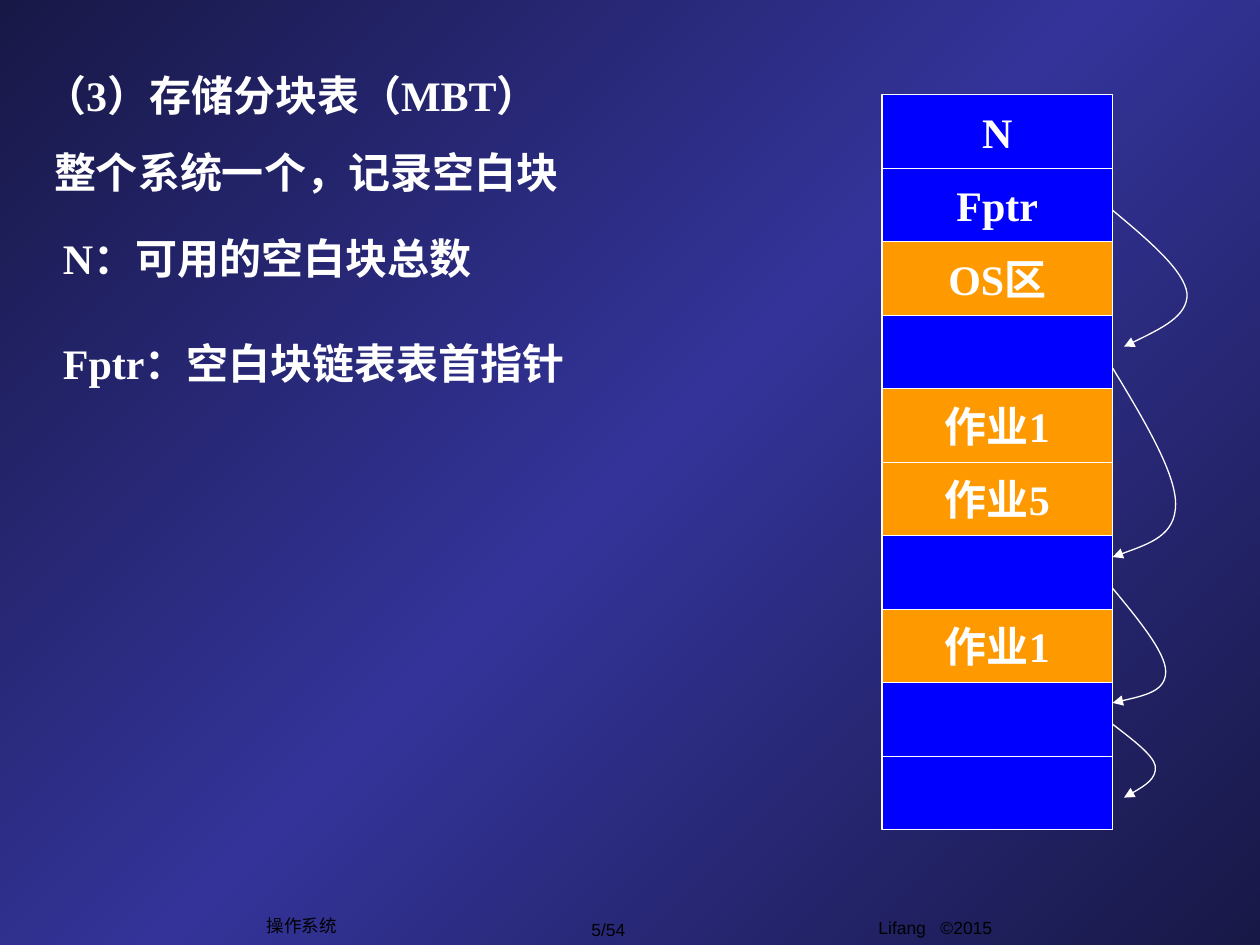
from copy import deepcopy
from typing import NamedTuple

from lxml.etree import SubElement as Sub
from pptx import Presentation
from pptx.dml.color import RGBColor as Rgb
from pptx.enum.shapes import MSO_SHAPE as Kind
from pptx.enum.text import MSO_ANCHOR as Anchor, MSO_AUTO_SIZE as Fit, PP_ALIGN as Align
from pptx.oxml.ns import qn
from pptx.util import Cm, Pt

WHITE, BLACK, BLUE, GOLD = "FFFFFF", "000000", "0000FF", "FF9900"
NIGHT, DUSK = "181847", "333399"
SERIF, SANS = "Times New Roman", "Arial"
LEFT, TOP, WIDTH, HEIGHT = 17.78, 1.91, 4.65, 14.82


class Note(NamedTuple):
    text: str
    left: float
    top: float
    width: float
    height: float = 1.27
    anchor: Anchor = Anchor.TOP
    wrap: bool = True


class Block(NamedTuple):
    text: str
    fill: str


class Link(NamedTuple):
    start: tuple
    curves: tuple


HEADS = [
    Note("（3）存储分块表（MBT）", 0.64, 1.27, 21.59, anchor=Anchor.MIDDLE),
    Note("整个系统一个，记录空白块", 0.84, 2.82, 16.05),
    Note("N：可用的空白块总数", 1.02, 4.57, 9.25),
    Note("Fptr：空白块链表表首指针", 1.02, 6.68, 11.23),
]
FEET = [
    Note("操作系统", 5.13, 18.31, 1.91, 0.69, Anchor.MIDDLE, False),
    Note("5/54", 10.97, 18.39, 2.59, 0.69, Anchor.MIDDLE, False),
    Note("Lifang   ©2015", 14.83, 18.36, 8.05, 0.89),
]
BLOCKS = [
    Block("N", BLUE), Block("Fptr", BLUE), Block("OS区", GOLD), Block("", BLUE),
    Block("作业1", GOLD), Block("作业5", GOLD), Block("", BLUE),
    Block("作业1", GOLD), Block("", BLUE), Block("", BLUE),
]
EDGE = LEFT + WIDTH
LINKS = [
    Link((EDGE, 4.24), ((23.16, 4.85), (23.88, 5.46), (23.93, 5.92),
                        (23.95, 6.38), (23.29, 6.68), (22.66, 6.99))),
    Link((EDGE, 7.42), ((23.06, 8.46), (23.7, 9.53), (23.7, 10.16),
                        (23.7, 10.8), (23.06, 11), (EDGE, 11.23))),
    Link((EDGE, 11.86), ((22.96, 12.5), (23.5, 13.16), (23.5, 13.54),
                         (23.5, 13.94), (22.96, 14.05), (EDGE, 14.17))),
    Link((EDGE, 14.6), ((22.83, 14.91), (23.24, 15.21), (23.29, 15.44),
                        (23.32, 15.7), (22.99, 15.9), (22.66, 16.08))),
]


def tint(color, code: str) -> None:
    color.rgb = Rgb.from_string(code)


def style(frame, text: str, size: int, face: str, code: str, bold: bool, align) -> None:
    frame.text = text
    para = frame.paragraphs[0]
    para.alignment = align
    for run in para.runs:
        run.font.size, run.font.name, run.font.bold = Pt(size), face, bold
        tint(run.font.color, code)


def trim(shape) -> None:
    shape.shadow.inherit = False
    shape.line.width = Pt(0.75)
    tint(shape.line.color, WHITE)


def write(slide, note: Note, size: int, face: str, code: str, bold: bool, align) -> None:
    box = slide.shapes.add_textbox(
        Cm(note.left), Cm(note.top), Cm(note.width), Cm(note.height))
    frame = box.text_frame
    frame.word_wrap, frame.auto_size = note.wrap, Fit.NONE
    frame.vertical_anchor = note.anchor
    style(frame, note.text, size, face, code, bold, align)


def stack(slide, row: int, block: Block) -> None:
    step = HEIGHT / len(BLOCKS)
    rect = slide.shapes.add_shape(
        Kind.RECTANGLE, Cm(LEFT), Cm(TOP + row * step), Cm(WIDTH), Cm(step))
    rect.fill.solid()
    tint(rect.fill.fore_color, block.fill)
    trim(rect)
    if block.text:
        frame = rect.text_frame
        frame.word_wrap, frame.vertical_anchor = False, Anchor.MIDDLE
        style(frame, block.text, 24, SERIF, WHITE, True, Align.CENTER)


def bend(slide, link: Link) -> None:
    pen = slide.shapes.build_freeform(*map(Cm, link.start))
    pen.add_line_segments([(Cm(x), Cm(y)) for x, y in link.curves], close=False)
    shape = pen.convert_to_shape()
    shape.fill.background()
    trim(shape)
    route = shape.element.find(".//" + qn("a:path"))
    legs = route.findall(qn("a:lnTo"))
    for first in range(0, len(legs), 3):
        curve = Sub(route, qn("a:cubicBezTo"))
        for leg in legs[first:first + 3]:
            curve.append(leg[0])
            route.remove(leg)
    Sub(shape.element.spPr.find(qn("a:ln")), qn("a:tailEnd"), type="triangle")


def paint(slide) -> None:
    fill = slide.background.fill
    fill.gradient()
    fill.gradient_angle = 315
    stops = slide.element.find(".//" + qn("a:gsLst"))
    stops.append(deepcopy(stops[-1]))
    for stop, place, code in zip(fill.gradient_stops, (0, 0.5, 1), (NIGHT, DUSK, NIGHT)):
        stop.position = place
        tint(stop.color, code)


def main() -> None:
    deck = Presentation()
    deck.slide_width, deck.slide_height = Cm(25.4), Cm(19.05)
    slide = deck.slides.add_slide(deck.slide_layouts[6])
    paint(slide)
    for note in FEET:
        write(slide, note, 10, SANS, BLACK, False, Align.CENTER)
    for row, block in enumerate(BLOCKS):
        stack(slide, row, block)
    for link in LINKS:
        bend(slide, link)
    for note in HEADS:
        write(slide, note, 24, SERIF, WHITE, True, Align.LEFT)
    deck.save("out.pptx")


if __name__ == "__main__":
    main()
